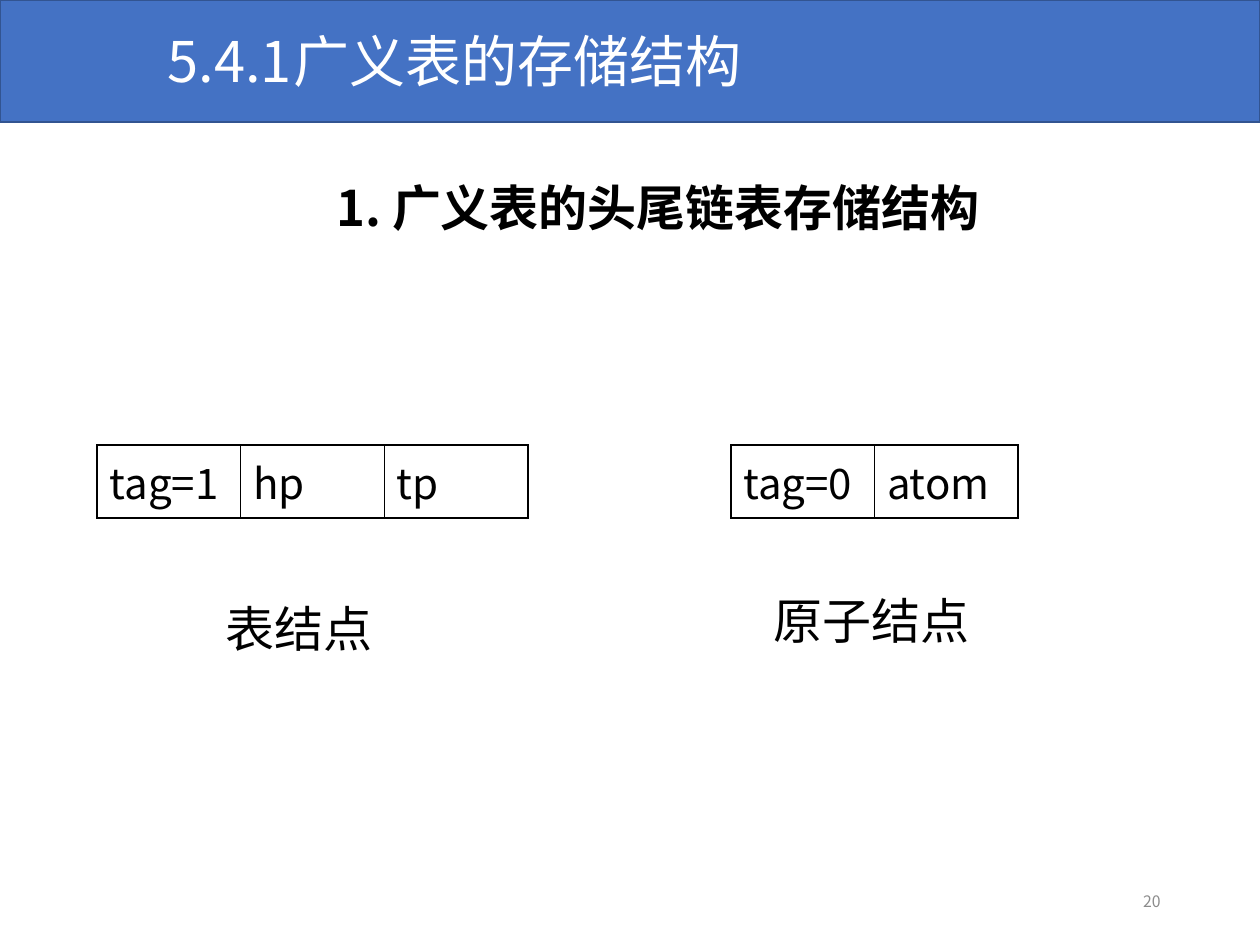
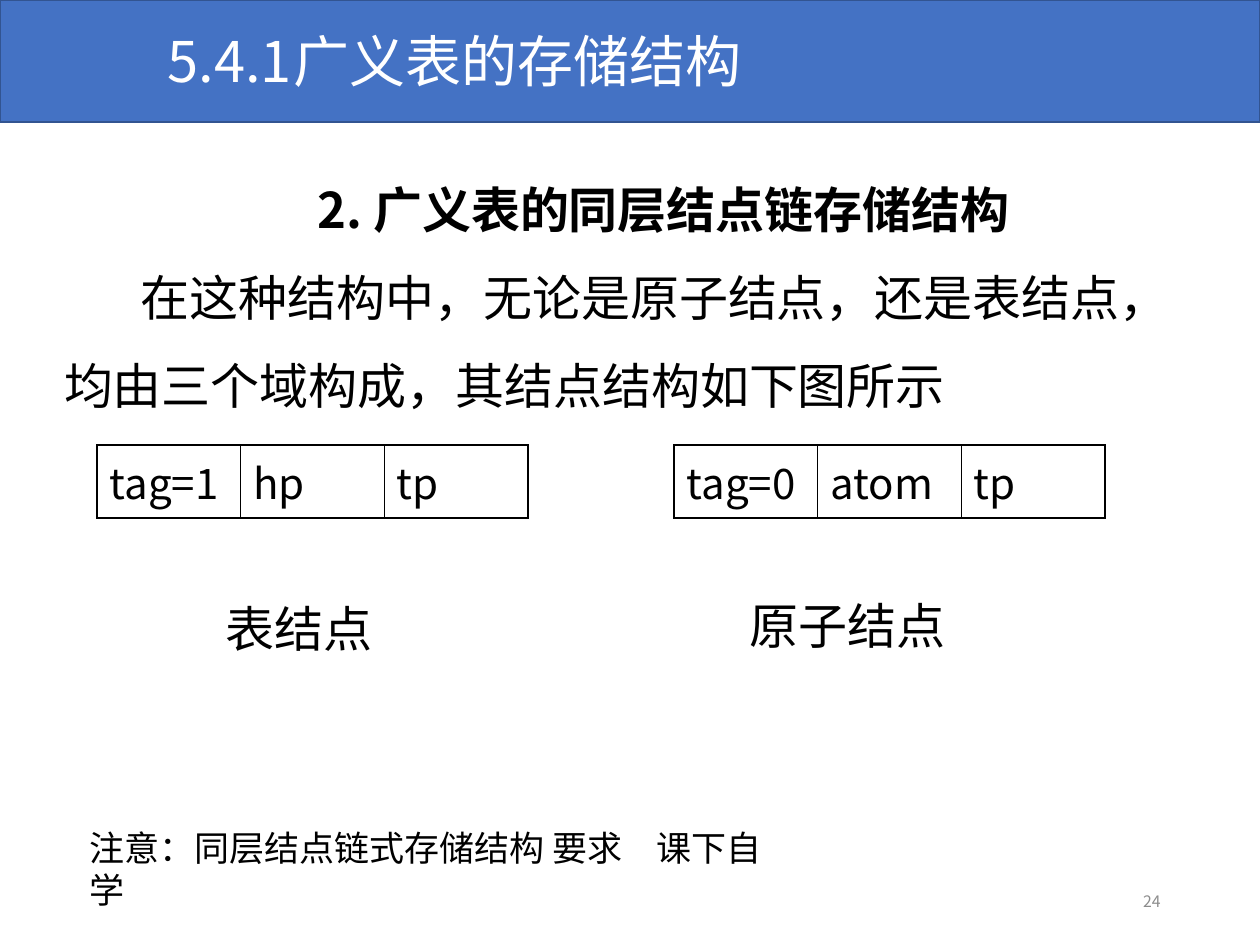
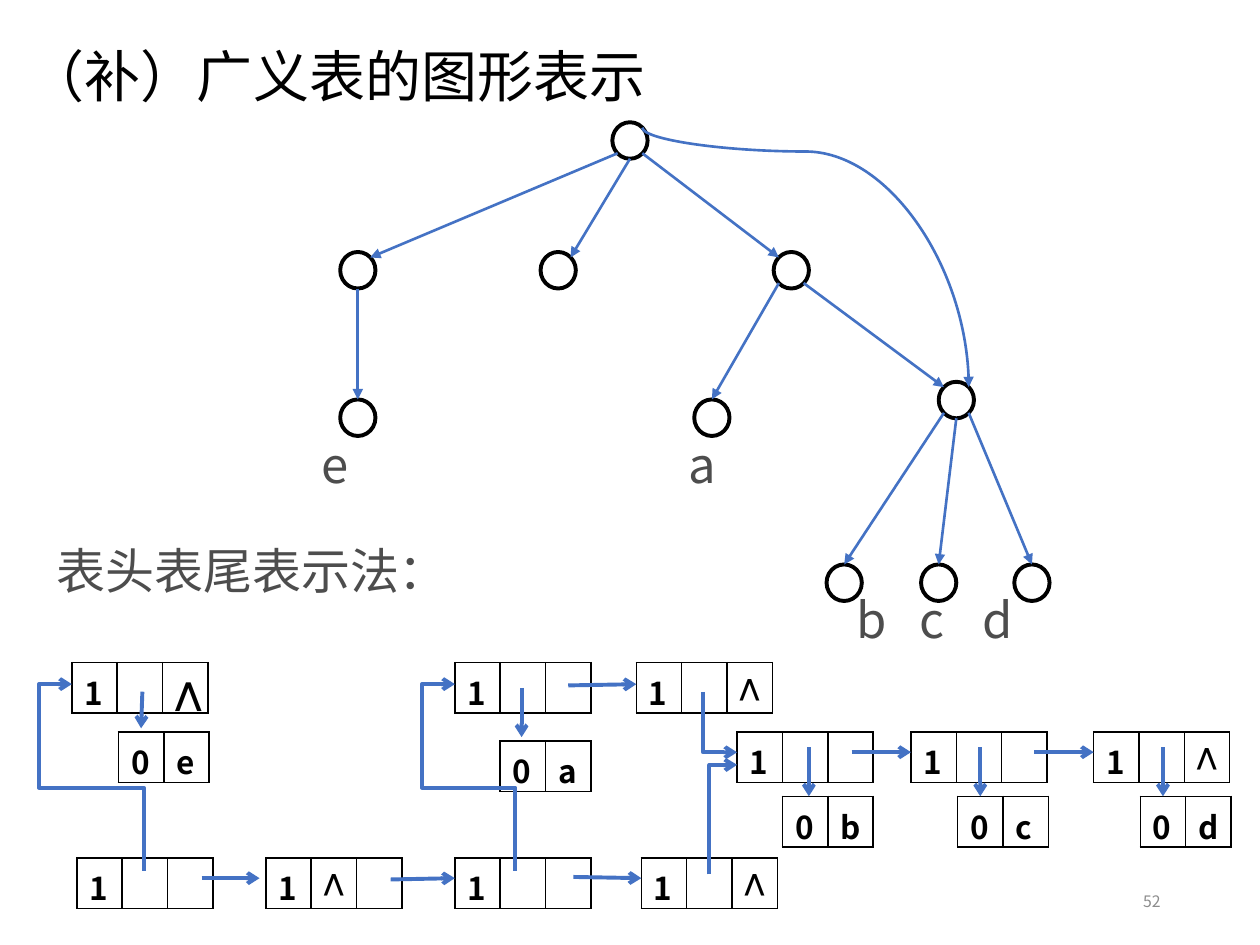
import dataclasses
import itertools

import lxml.etree
import pptx
import pptx.dml.color
import pptx.enum.shapes
import pptx.enum.text
import pptx.oxml.ns
import pptx.util

qn = pptx.oxml.ns.qn
Align = pptx.enum.text.PP_ALIGN
Anchor = pptx.enum.text.MSO_ANCHOR
Preset = pptx.enum.shapes.MSO_SHAPE
Link = pptx.enum.shapes.MSO_CONNECTOR


@dataclasses.dataclass(frozen=True)
class Theme:
    """Colours, font, type sizes and line widths of the deck."""
    font: str = "Noto Sans CJK SC"
    accent: str = "4472C4"
    accent_edge: str = "325491"
    ink: str = "000000"
    paper: str = "FFFFFF"
    soft: str = "4D4D4D"
    faint: str = "8C8C8C"
    title: float = 32
    body: float = 28
    field: float = 24
    note: float = 20
    cell: float = 18
    nil: float = 13.5
    footer: float = 9
    hair: float = 1
    edge: float = 1.5
    heavy: float = 2.25


@dataclasses.dataclass(frozen=True)
class Box:
    """A region on a grid of 10 columns by 7.5 rows."""
    left: float
    top: float
    width: float = 0
    height: float = 0

    def inner(self, column, row, width=0, height=0):
        """Return a box whose corner is counted from this one's."""
        return Box(self.left + column, self.top + row, width, height)

    def lengths(self):
        """Return left, top, width and height as slide lengths."""
        return [grid(n) for n in (self.left, self.top, self.width, self.height)]


THEME = Theme()
SLIDE = Box(0, 0, 10, 7.5)
SECTION = "5.4.1\t广义表的存储结构"
NIL = "⋀"
CELL = 0.36
DIAGONAL = 0.35
SITES = {"top": (0, -0.5), "bottom": (0, 0.5), "sw": (-DIAGONAL, DIAGONAL),
         "se": (DIAGONAL, DIAGONAL), "ne": (DIAGONAL, -DIAGONAL),
         "nw": (-DIAGONAL, -DIAGONAL)}


def grid(units):
    """Turn grid units into a slide length."""
    return pptx.util.Inches(units)


def rgb(code):
    """Turn a hex code into a colour."""
    return pptx.dml.color.RGBColor.from_string(code)


def apply(target, values):
    """Set every attribute named in a dict."""
    for name, value in values.items():
        setattr(target, name, value)


def child(parent, tag, **attributes):
    """Append an XML element with attributes."""
    element = lxml.etree.SubElement(parent, qn(tag))
    for name, value in attributes.items():
        element.set(name, str(value))
    return element


def write(para, text, size, color=THEME.ink, bold=False, align=Align.LEFT,
          spacing=None, tabs=(), left=0, first=0):
    """Fill a paragraph with one formatted span."""
    layout = para._p.get_or_add_pPr()
    layout.set("marL", str(grid(left)))
    layout.set("indent", str(grid(first)))
    if tabs:
        stops = child(layout, "a:tabLst")
        for stop in tabs:
            child(stops, "a:tab", pos=grid(stop), algn="l")
    apply(para, {"alignment": align, "line_spacing": spacing})
    span = para.add_run()
    span.text = text
    apply(span.font, {"name": THEME.font, "size": pptx.util.Pt(size), "bold": bold})
    span.font.color.rgb = rgb(color)
    child(span.font._element, "a:ea", typeface=THEME.font)


def fill_frame(frame, paragraphs, anchor=Anchor.TOP, grow=True):
    """Set up a text frame and write its paragraphs."""
    sizing = pptx.enum.text.MSO_AUTO_SIZE
    apply(frame, {"word_wrap": True, "vertical_anchor": anchor,
                  "auto_size": sizing.SHAPE_TO_FIT_TEXT if grow else sizing.NONE})
    for index, values in enumerate(paragraphs):
        write(frame.add_paragraph() if index else frame.paragraphs[0], **values)


def add_label(page, box, text, size=THEME.body, **style):
    """Add a text box holding one paragraph."""
    shape = page.shapes.add_textbox(*box.lengths())
    fill_frame(shape.text_frame, [{"text": text, "size": size, **style}])


def add_preset(page, preset, box, fill, line, width):
    """Add a filled and outlined preset shape."""
    shape = page.shapes.add_shape(preset, *box.lengths())
    shape.shadow.inherit = False
    shape.fill.solid()
    shape.fill.fore_color.rgb = rgb(fill)
    shape.line.color.rgb = rgb(line)
    shape.line.width = pptx.util.Pt(width)
    return shape


def add_arrow(page, start, end, width, head, kind=Link.STRAIGHT):
    """Add a connector with an arrowhead at its end."""
    arrow = page.shapes.add_connector(kind, *[grid(n) for n in (*start, *end)])
    arrow.line.color.rgb = rgb(THEME.accent)
    arrow.line.width = pptx.util.Pt(width)
    outline = arrow.element.spPr
    child(outline.find(qn("a:ln")), "a:tailEnd", type=head)
    child(outline, "a:effectLst")
    return arrow


def add_route(page, start, end, width, head, preset, turn, flip="", bends=()):
    """Add a bent or curved connector turned by a quarter."""
    arrow = add_arrow(page, start, end, width, head, Link.ELBOW)
    across, down = abs(end[0] - start[0]), abs(end[1] - start[1])
    middle = Box((start[0] + end[0]) / 2, (start[1] + end[1]) / 2)
    place = middle.inner(-down / 2, -across / 2, down, across)
    apply(arrow, dict(zip(("left", "top", "width", "height"), place.lengths())))
    frame = arrow.element.spPr.find(qn("a:xfrm"))
    for name in ("flipH", "flipV"):
        frame.attrib.pop(name, None)
    frame.set("rot", str(turn * 60000))
    if flip:
        frame.set(flip, "1")
    geometry = arrow.element.spPr.find(qn("a:prstGeom"))
    geometry.set("prst", preset)
    for old in list(geometry):
        geometry.remove(old)
    guides = child(geometry, "a:avLst")
    for number, bend in enumerate(bends, 1):
        child(guides, "a:gd", name=f"adj{number}", fmla=f"val {round(bend * 1000)}")


def add_record(page, box, texts, column, row, size, bold=False, fill=None, nil=THEME.nil):
    """Add a one-row table for the fields of a list node."""
    place = box.inner(0, 0, column * len(texts), row)
    table = page.shapes.add_table(1, len(texts), *place.lengths()).table
    apply(table, {"first_row": False, "horz_banding": False})
    for index, text in enumerate(texts):
        table.columns[index].width = grid(column)
        cell = table.cell(0, index)
        if fill:
            cell.fill.solid()
            cell.fill.fore_color.rgb = rgb(fill)
        else:
            cell.fill.background()
        for order, side in enumerate(("a:lnL", "a:lnR", "a:lnT", "a:lnB")):
            border = child(cell._tc.tcPr, side, w=pptx.util.Pt(THEME.hair))
            child(child(border, "a:solidFill"), "a:srgbClr", val=THEME.ink)
            cell._tc.tcPr.insert(order, border)
        if text:
            write(cell.text_frame.paragraphs[0], text, nil if text == NIL else size, bold=bold)


def start_page(deck, number, title, box, **style):
    """Add a page with its title and page number."""
    page = deck.slides.add_slide(deck.slide_layouts[5])
    heading = page.shapes.title
    apply(heading, dict(zip(("left", "top", "width", "height"), box.lengths())))
    fill_frame(heading.text_frame, [{"text": title, "size": THEME.title, **style}])
    footer = page.shapes.add_textbox(*SLIDE.inner(7.06, 6.95, 2.25, 0.4).lengths())
    fill_frame(footer.text_frame, [{"text": number, "size": THEME.footer, "color": THEME.faint,
                                    "align": Align.RIGHT}], Anchor.MIDDLE, False)
    return page


def storage_page(deck, number, body, paragraphs, records, captions):
    """Build a page on a storage structure under the section band."""
    page = start_page(deck, number, SECTION, SLIDE.inner(1.23, 0.16, 6.8, 0.64),
                      color=THEME.paper, tabs=(1.28,))
    add_preset(page, Preset.RECTANGLE, SLIDE.inner(0, 0, SLIDE.width, 0.97),
               THEME.accent, THEME.accent_edge, THEME.hair)
    page.shapes.element.append(page.shapes.title.element)
    text = page.shapes.add_textbox(*body.lengths())
    fill_frame(text.text_frame, [{"size": THEME.body, "spacing": 1.5, **values}
                                 for values in paragraphs])
    for column, texts in records:
        add_record(page, SLIDE.inner(column, 3.53), texts, 1.14, 0.58, THEME.field)
    for text, box in captions:
        add_label(page, box, text)
    return page


def draw_tree(page, region):
    """Draw the graph of the nested list."""
    places = {"root": (2.86, 0.07), "left": (0.7, 1.1), "empty": (2.29, 1.1),
              "right": (4.14, 1.1), "e": (0.7, 2.27), "a": (3.51, 2.27),
              "shared": (5.45, 2.13), "b": (4.56, 3.58), "c": (5.31, 3.58), "d": (6.05, 3.58)}
    boxes = {name: region.inner(*place, 0.28, 0.29) for name, place in places.items()}
    nodes = {name: add_preset(page, Preset.OVAL, box, THEME.paper, THEME.ink, THEME.heavy)
             for name, box in boxes.items()}

    def site(name, side):
        """Return a point on the rim of a node."""
        box, (across, down) = boxes[name], SITES[side]
        return box.left + box.width * (0.5 + across), box.top + box.height * (0.5 + down)

    edges = [("root", "sw", "left", "ne"), ("root", "bottom", "empty", "ne"),
             ("root", "se", "right", "nw"), ("left", "bottom", "e", "top"),
             ("right", "sw", "a", "top"), ("right", "se", "shared", "nw"),
             ("shared", "sw", "b", "top"), ("shared", "bottom", "c", "top"),
             ("shared", "se", "d", "top")]
    for parent, leaving, target, entering in edges:
        arrow = add_arrow(page, site(parent, leaving), site(target, entering),
                          THEME.edge, "triangle")
        if entering == "top":
            arrow.end_connect(nodes[target], 0)
    add_route(page, site("root", "ne"), site("shared", "ne"), THEME.edge, "triangle",
              "curvedConnector3", 270, "flipH", (9.2,))
    for text, column, row, width in (("e", 0.45, 2.5, 0.77), ("a", 3.37, 2.5, 0.77),
                                     ("b\tc\td", 4.7, 3.73, 2.48)):
        add_label(page, region.inner(column, row, width, 0.57), text,
                  color=THEME.soft, tabs=(0.58, 1.12) if "\t" in text else ())


def draw_linked_list(page, region):
    """Draw the head and tail records with their pointers."""
    plain, closed = ("1", "", ""), ("1", "", NIL)
    records = [(0.61, 1.81, plain), (2.11, 1.81, ("1", NIL, "")), (3.61, 1.81, plain),
               (5.09, 1.81, closed), (3.61, 0.26, plain), (5.05, 0.26, closed),
               (5.85, 0.81, plain), (7.23, 0.81, plain), (8.68, 0.81, closed)]
    atoms = [(0.94, 0.81, "e"), (3.97, 0.88, "a"), (6.21, 1.32, "b"),
             (7.6, 1.32, "c"), (9.05, 1.32, "d")]
    style = {"column": CELL, "row": 0.33, "size": THEME.cell, "bold": True, "fill": THEME.paper}
    add_record(page, region.inner(0.57, 0.26), closed, nil=THEME.cell, **style)
    for column, row, texts in itertools.chain(
            records, ((column, row, ("0", atom)) for column, row, atom in atoms)):
        add_record(page, region.inner(column, row), texts, **style)

    def point(column, row):
        """Return a point counted from the region's corner."""
        return region.left + column, region.top + row

    tails = [(1.6, 1.97, 2.06, 1.97), (3.1, 1.98, 3.61, 1.97), (4.55, 1.96, 5.09, 1.97),
             (4.51, 0.44, 5.05, 0.43), (6.76, 0.97, 7.23, 0.97), (8.21, 0.97, 8.68, 0.97)]
    heads = [(1.13, 0.49, 1.12, 0.78), (4.14, 0.46, 4.14, 0.85)]
    heads += [(column, 0.93, column, 1.32) for column in (6.42, 7.78, 9.23)]
    for x, y, end_x, end_y in tails + heads:
        add_arrow(page, point(x, y), point(end_x, end_y), THEME.heavy, "arrow")
    routes = [((1.14, 1.91), (0.57, 0.43), "bentConnector4", 270, "flipV", (44.5, 145.9)),
              ((4.09, 1.91), (3.61, 0.43), "bentConnector4", 270, "flipV", (44.5, 154.4)),
              ((5.58, 0.49), (5.85, 0.97), "bentConnector2", 90, "flipV", ()),
              ((5.63, 1.94), (5.85, 1.07), "bentConnector3", 270, "", (99.8,))]
    for start, end, *form in routes:
        add_route(page, point(*start), point(*end), THEME.heavy, "arrow", *form)


def graph_page(deck):
    """Build the page with the graph and its linked records."""
    page = start_page(deck, "52", "（补）广义表的图形表示", SLIDE.inner(0.13, 0.01, 9.74, 0.81),
                      spacing=1.5)
    draw_tree(page, SLIDE.inner(2, 0.9))
    add_label(page, SLIDE.inner(0.35, 4.24, 8.61, 0.57), "表头表尾表示法：", color=THEME.soft)
    draw_linked_list(page, SLIDE.inner(0, 5))


def main():
    """Build and save the deck."""
    deck = pptx.Presentation()
    apply(deck, {"slide_width": grid(SLIDE.width), "slide_height": grid(SLIDE.height)})
    heading = {"bold": True, "align": Align.CENTER}
    list_record = (0.77, ("tag=1", "hp", "tp"))
    list_caption = ("表结点", SLIDE.inner(1.69, 4.7, 1.38, 0.57))
    storage_page(deck, "20", SLIDE.inner(0.41, 1.13, 9.19, 3.55),
                 [{"text": "1. 广义表的头尾链表存储结构", "left": 0.43, **heading}],
                 [list_record, (5.8, ("tag=0", "atom"))],
                 [list_caption, ("原子结点", SLIDE.inner(6.04, 4.64, 1.77, 0.57))])
    page = storage_page(deck, "24", SLIDE.inner(0.41, 1.14, 9.19, 2.85),
                        [{"text": "2. 广义表的同层结点链存储结构", "left": 0.52, **heading},
                         {"text": "在这种结构中，无论是原子结点，还是表结点，"
                                  "均由三个域构成，其结点结构如下图所示", "first": 0.61}],
                        [list_record, (5.35, ("tag=0", "atom", "tp"))],
                        [list_caption, ("原子结点", SLIDE.inner(5.85, 4.68, 2.25, 0.57))])
    add_label(page, SLIDE.inner(0.61, 6.51, 5.76, 0.44),
              "注意：同层结点链式存储结构 要求\t课下自学", THEME.note, tabs=(4.35,))
    graph_page(deck)
    deck.save("out.pptx")


if __name__ == "__main__":
    main()
